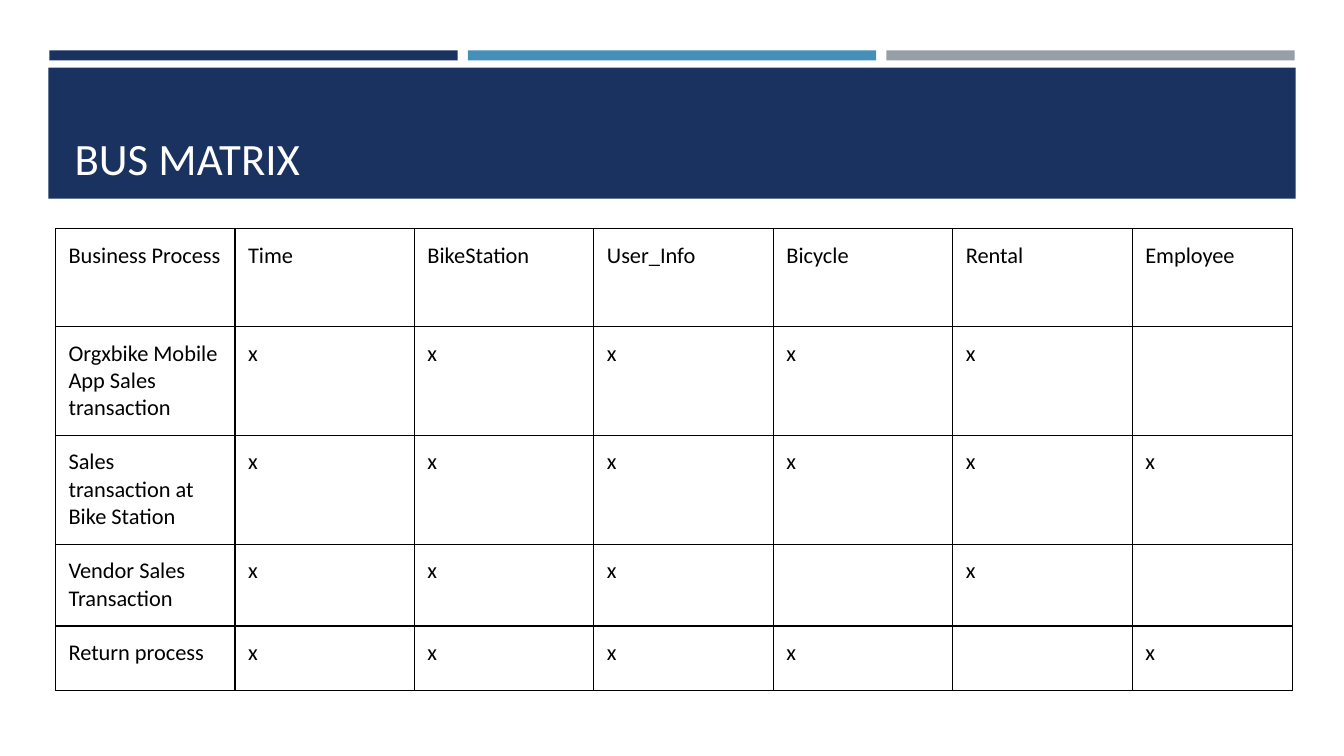
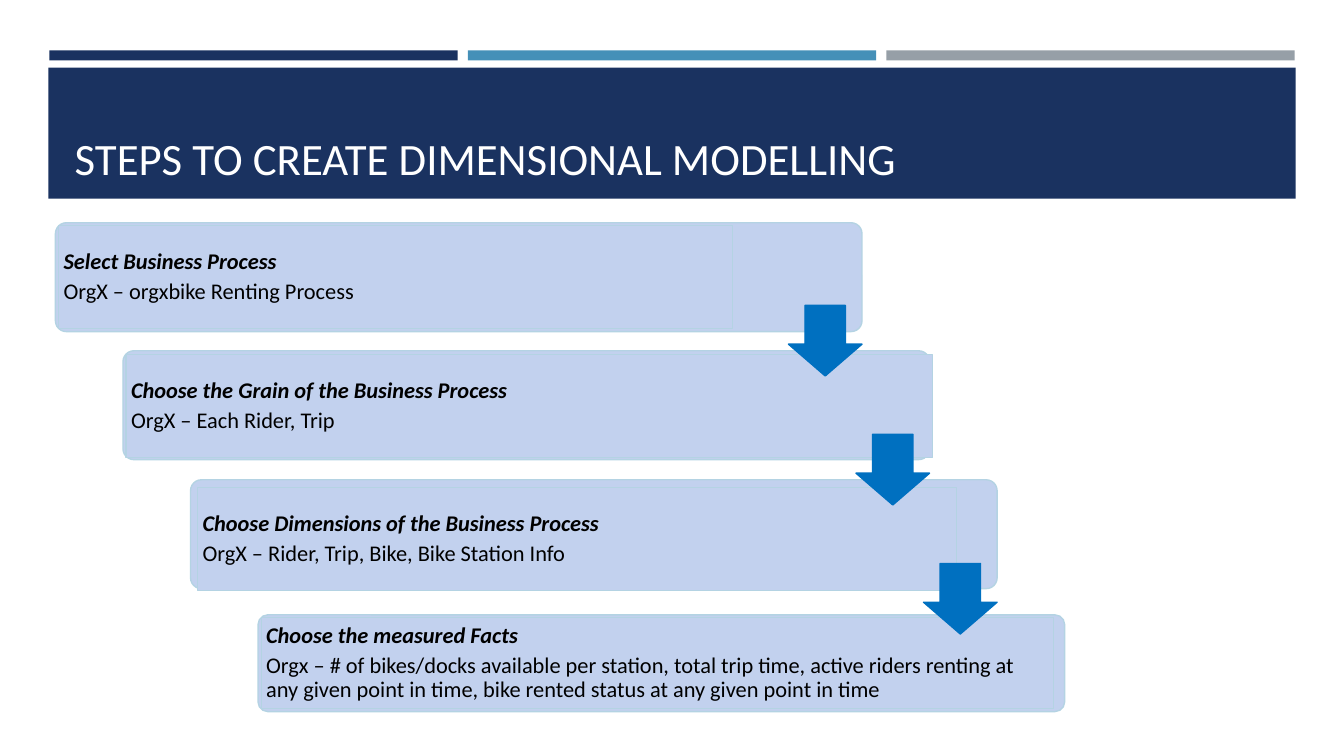
from pptx import Presentation
from pptx.dml.color import RGBColor
from pptx.enum import shapes, text
from pptx.oxml import parse_xml
from pptx.oxml.ns import nsdecls
from pptx.util import Emu, Pt

# Content
TITLES = ["BUS MATRIX", "STEPS TO CREATE DIMENSIONAL MODELLING"]
HEADS = ["Business Process", "Time", "BikeStation", "User_Info",
         "Bicycle", "Rental", "Employee"]
# process, columns marked, row height
ROWS = [
    ("Orgxbike Mobile App Sales transaction", "xxxxx ", 108),
    ("Sales transaction at Bike Station", "xxxxxx", 108),
    ("Vendor Sales Transaction", "xxx x ", 81),
    ("Return process", "xxxx x", 64),
]
# heading, detail, top, height, text panel (dx, dy, width)
STEPS = [
    ("Select Business Process", "OrgX – orgxbike Renting Process",
     221, 108, (3, 3, 669)),
    ("Choose the Grain of the Business Process", "OrgX – Each Rider, Trip",
     348, 108, (3, 4, 800)),
    ("Choose Dimensions of the Business Process",
     "OrgX – Rider, Trip, Bike, Bike Station Info", 476, 108, (7, 8, 753)),
    ("Choose the measured Facts",
     "Orgx – # of bikes/docks available per station, total trip time, "
     "active riders renting at any given point in time, bike rented status "
     "at any given point in time", 610, 96, (3, 3, 786)),
]

# Style
HEX = {"navy": "1A3260", "blue": "4590B8", "grey": "969FA7",
       "pale": "C2D1EE", "edge": "B4D3E3", "arrow": "0070C0",
       "white": "FFFFFF", "black": "000000"}
FONT = "Calibri"
KIND = shapes.MSO_SHAPE


def px(n):
    return Emu(n * 9144)


def rgb(name):
    return RGBColor.from_string(HEX[name])


def style(para, size, color, bold=False):
    font = para.font
    font.name, font.size = FONT, Pt(size)
    font.bold = font.italic = bold
    font.color.rgb = rgb(color)
    para.alignment = text.PP_ALIGN.LEFT


def draw(slide, kind, box, fill, edge=None, width=1):
    shape = slide.shapes.add_shape(kind, *map(px, box))
    shape.shadow.inherit = False
    shape.fill.solid()
    shape.fill.fore_color.rgb = rgb(fill)
    if edge:
        shape.line.color.rgb = rgb(edge)
        shape.line.width = Pt(width)
    else:
        shape.line.fill.background()
    return shape


def border(cell):
    props = cell._tc.get_or_add_tcPr()
    for side in "LRTB":
        props.append(parse_xml(
            f'<a:ln{side} {nsdecls("a")} w="12700"><a:solidFill>'
            f'<a:srgbClr val="{HEX["black"]}"/></a:solidFill></a:ln{side}>'))


def dress(layout, slide):
    """Draw the bands once and move them to the shared layout."""
    bands = [((49 + 415 * i, 50, 405, 10), name)
             for i, name in enumerate(("navy", "blue", "grey"))]
    bands.append(((48, 67, 1237, 130), "navy"))
    for box, name in bands:
        band = draw(slide, KIND.RECTANGLE, box, name)
        layout.shapes.element.append(band.element)
    title = layout.placeholders[0]
    title.left, title.top, title.width, title.height = map(
        px, (64, 77, 1206, 111))
    title.text_frame.vertical_anchor = text.MSO_ANCHOR.BOTTOM


def matrix(slide):
    widths = [178] * 6 + [159]
    highs = [97] + [row[2] for row in ROWS]
    frame = slide.shapes.add_table(
        len(highs), len(widths), px(55), px(227),
        px(sum(widths)), px(sum(highs)))
    table = frame.table
    table.first_row = table.horz_banding = False
    for col, width in zip(table.columns, widths):
        col.width = px(width)
    for row, high in zip(table.rows, highs):
        row.height = px(high)
    cells = [HEADS] + [[name, *marks] for name, marks, _ in ROWS]
    for r, line in enumerate(cells):
        for c, word in enumerate(line):
            cell = table.cell(r, c)
            border(cell)
            cell.fill.background()
            cell.margin_left = cell.margin_top = cell.margin_bottom = px(13)
            cell.margin_right = px(15 if r else 13)
            cell.text = word.strip()
            style(cell.text_frame.paragraphs[0], 16, "black")


def stairs(slide):
    left, wide, shift = 55, 800, 67
    for i, (head, detail, top, high, (dx, dy, width)) in enumerate(STEPS):
        x = left + shift * i
        card = draw(slide, KIND.ROUNDED_RECTANGLE, (x, top, wide, high),
                    "pale", "edge")
        card.adjustments[0] = 0.1
        panel = draw(slide, KIND.RECTANGLE,
                     (x + dx, top + dy, width, high - 6),
                     "pale", "edge", 0.75)
        frame = panel.text_frame
        frame.word_wrap = True
        frame.vertical_anchor = text.MSO_ANCHOR.MIDDLE
        frame.margin_left = frame.margin_right = px(5)
        frame.margin_top = frame.margin_bottom = px(5)
        frame.text = f"{head}\n{detail}"
        for para, bold in zip(frame.paragraphs, (True, False)):
            style(para, 16, "black", bold)
            para.line_spacing = 0.9
        para.space_before = Pt(4)
    # Arrows sit at the right end of each step but the last
    for i in range(len(STEPS) - 1):
        x = left + shift * i + wide - 73
        arrow = draw(slide, KIND.DOWN_ARROW, (x, 303 + 128 * i, 73, 70),
                     "arrow", "arrow")
        arrow.adjustments[0], arrow.adjustments[1] = 0.55, 0.45


def main():
    deck = Presentation()
    deck.slide_width, deck.slide_height = px(1333), px(750)
    layout = deck.slide_layouts[5]
    for i, (title, fill) in enumerate(zip(TITLES, (matrix, stairs))):
        slide = deck.slides.add_slide(layout)
        if i == 0:
            dress(layout, slide)
        slide.shapes.title.text = title
        style(slide.shapes.title.text_frame.paragraphs[0], 32, "white")
        fill(slide)
    deck.save("out.pptx")


if __name__ == "__main__":
    main()
